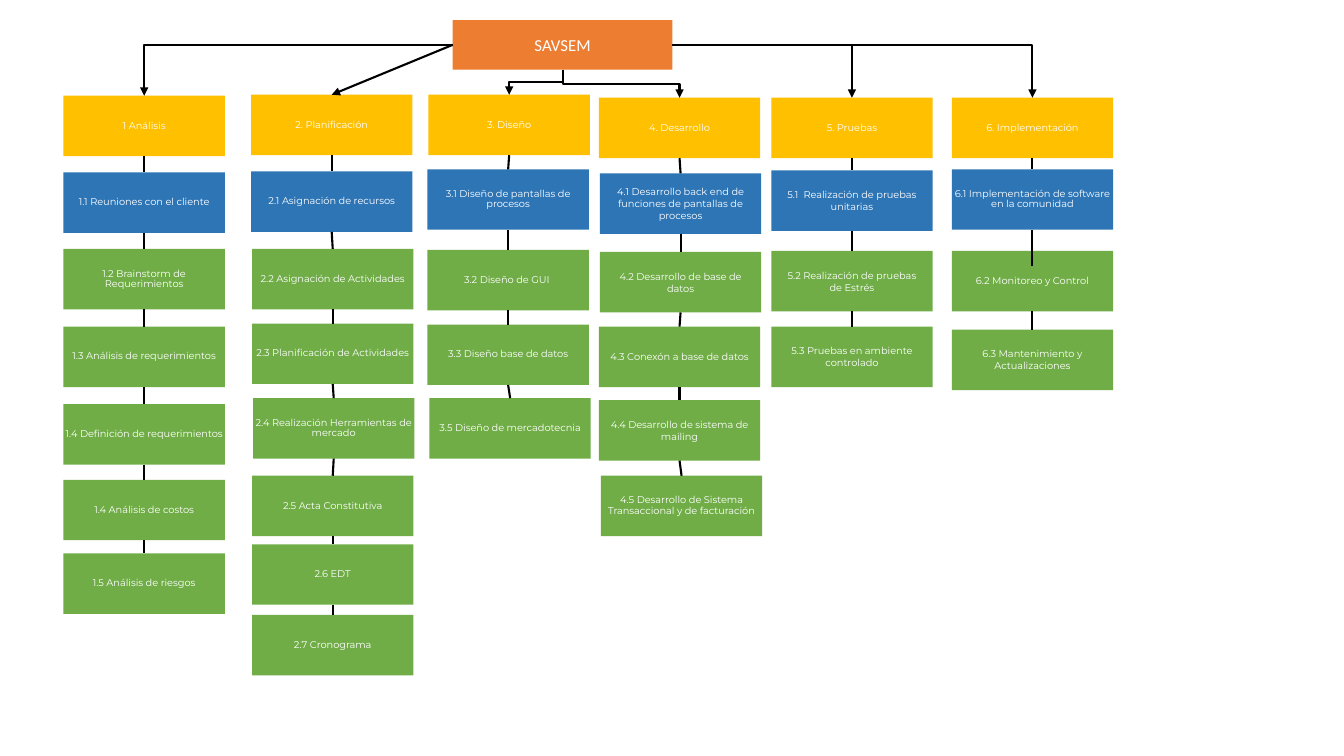
from pptx import Presentation
from pptx.dml.color import RGBColor
from pptx.enum import dml, shapes, text
from pptx.oxml import ns, xmlchemy as xml
from pptx.util import Inches, Pt

WIDTH, HEIGHT = 1.6, 0.6
ORANGE, YELLOW, BLUE, GREEN = "ED7D31", "FFC000", "2E75B6", "70AD47"
WHITE, BLACK = "FFFFFF", "000000"
TOP, LEFT, BOTTOM, RIGHT = range(4)  # connection sites of a rectangle

# Each phase lists its boxes from top to bottom: left, top, label.
PHASES = [
    [(0.63, 0.95, "1 Análisis"),
     (0.63, 1.71, "1.1 Reuniones con el cliente"),
     (0.63, 2.47, "1.2 Brainstorm de Requerimientos"),
     (0.63, 3.24, "1.3 Análisis de requerimientos"),
     (0.63, 4.01, "1.4 Definición de requerimientos"),
     (0.63, 4.76, "1.4 Análisis de costos"),
     (0.63, 5.49, "1.5 Análisis de riesgos")],
    [(2.49, 0.94, "2. Planificación"),
     (2.49, 1.7, "2.1 Asignación de recursos"),
     (2.5, 2.47, "2.2 Asignación de Actividades"),
     (2.5, 3.21, "2.3 Planificación de Actividades"),
     (2.51, 3.95, "2.4 Realización Herramientas de mercado"),
     (2.5, 4.72, "2.5 Acta Constitutiva"),
     (2.5, 5.4, "2.6 EDT"),
     (2.5, 6.1, "2.7 Cronograma")],
    [(4.25, 0.94, "3. Diseño"),
     (4.24, 1.68, "3.1 Diseño de pantallas de procesos"),
     (4.24, 2.48, "3.2 Diseño de GUI "),
     (4.24, 3.22, "3.3 Diseño base de datos"),
     (4.26, 3.95, "3.5 Diseño de mercadotecnia")],
    [(5.94, 0.97, "4. Desarrollo"),
     (5.95, 1.72, "4.1 Desarrollo back end de funciones de pantallas de procesos"),
     (5.95, 2.5, "4.2 Desarrollo de base de datos"),
     (5.94, 3.24, "4.3 Conexón a base de datos"),
     (5.94, 3.97, "4.4 Desarrollo de sistema de mailing"),
     (5.96, 4.72, "4.5 Desarrollo de Sistema Transaccional y de facturación")],
    [(7.65, 0.97, "5. Pruebas"),
     (7.65, 1.69, "5.1  Realización de pruebas unitarias"),
     (7.65, 2.49, "5.2 Realización de pruebas de Estrés"),
     (7.65, 3.24, "5.3 Pruebas en ambiente controlado")],
    [(9.44, 0.97, "6. Implementación"),
     (9.44, 1.68, "6.1 Implementación de software en la comunidad"),
     (9.44, 2.49, "6.2 Monitoreo y Control"),
     (9.44, 3.27, "6.3 Mantenimiento y Actualizaciones")],
]
# Tasks with the usual inner margins; all other boxes have none.
LOOSE = {"4.1", "4.2", "4.3", "4.4", "5.1", "5.2", "5.3", "6.3"}
# Extra length of the line that runs into a task.
DIPS = {"6.2": 0.15}


def color(code):
    """Turn a hex string into a colour."""
    return RGBColor.from_string(code)


def paint(shape, fill):
    """Fill a shape and take off its outline."""
    shape.fill.solid()
    shape.fill.fore_color.rgb = color(fill)
    shape.line.fill.background()


def write(shape, label, font, size, tight=False):
    """Put centred white text in a shape."""
    frame = shape.text_frame
    frame.word_wrap = True
    frame.auto_size = text.MSO_AUTO_SIZE.NONE
    frame.vertical_anchor = text.MSO_ANCHOR.MIDDLE
    par = frame.paragraphs[0]
    par.alignment = text.PP_ALIGN.CENTER
    if tight:
        frame.margin_left = frame.margin_right = 0
        frame.margin_top = frame.margin_bottom = 0
        par.line_spacing = 0.9
    run = par.add_run()
    run.text = label
    run.font.name, run.font.size = font, Pt(size)
    run.font.color.rgb = color(WHITE)


def add_root(slide):
    """Make the title the top box of the chart."""
    root = slide.shapes.title
    root.left, root.top = Inches(4.49), Inches(0.2)
    root.width, root.height = Inches(2.18), Inches(0.49)
    paint(root, ORANGE)
    write(root, "SAVSEM", "Calibri", 12)
    return root


def add_box(slide, left, top, label, fill):
    """Add one phase or task box."""
    box = slide.shapes.add_shape(
        shapes.MSO_SHAPE.RECTANGLE,
        Inches(left), Inches(top), Inches(WIDTH), Inches(HEIGHT))
    box.shadow.inherit = False
    paint(box, fill)
    write(box, label, "Montserrat", 7, label[:3] not in LOOSE)
    return box


def site(shape, side):
    """Find the middle of one side of a shape."""
    x, y = shape.left + shape.width // 2, shape.top + shape.height // 2
    return {TOP: (x, shape.top), LEFT: (shape.left, y),
            BOTTOM: (x, shape.top + shape.height),
            RIGHT: (shape.left + shape.width, y)}[side]


def add_link(slide, start, end, kind=shapes.MSO_CONNECTOR.STRAIGHT):
    """Add a black line between two points."""
    link = slide.shapes.add_connector(kind, *start, *end)
    link.line.width = Pt(1.5)
    link.line.fill.solid()
    link.line.color.rgb = color(BLACK)
    link.line.dash_style = dml.MSO_LINE.SOLID
    xml.OxmlElement  # element factory used for the parts below
    props = link._element.spPr
    props.append(xml.OxmlElement("a:effectLst"))
    return link


def add_head(link):
    """End a line with a triangle."""
    tail = xml.OxmlElement("a:tailEnd")
    tail.set("type", "triangle")
    link.line._get_or_add_ln().append(tail)


def add_corner(slide, start, end):
    """Add a line that goes sideways, then down."""
    link = add_link(slide, start, end, shapes.MSO_CONNECTOR.ELBOW)
    geom = link._element.spPr.find(ns.qn("a:prstGeom"))
    geom.set("prst", "bentConnector2")
    return link


def add_step(slide, start, end):
    """Add a line that goes down, sideways and down again."""
    (x1, y1), (x2, y2) = start, end
    wide, high = abs(x2 - x1), y2 - y1
    left = (x1 + x2 - high) // 2
    top = (y1 + y2 - wide) // 2
    link = add_link(slide, (left, top), (left + high, top + wide),
                    shapes.MSO_CONNECTOR.ELBOW)
    frame = link._element.spPr.find(ns.qn("a:xfrm"))
    frame.set("rot", str((90 if x2 < x1 else 270) * 60000))
    if x2 > x1:
        frame.set("flipH", "1")
    return link


def add_phase(slide, rows):
    """Add a column of boxes with its lines and return its head."""
    fills = [YELLOW, BLUE] + [GREEN] * (len(rows) - 2)
    boxes = [add_box(slide, *row, fill) for row, fill in zip(rows, fills)]
    for upper, lower, row in zip(boxes, boxes[1:], rows[1:]):
        x, y = site(lower, TOP)
        dip = Inches(DIPS.get(row[2][:3], 0))
        add_link(slide, site(upper, BOTTOM), (x, y + dip))
    return boxes[0]


def main():
    """Build the work breakdown chart."""
    deck = Presentation()
    deck.slide_width, deck.slide_height = Inches(13.33), Inches(7.5)
    slide = deck.slides.add_slide(deck.slide_layouts[5])
    root = add_root(slide)
    heads = [add_phase(slide, rows) for rows in PHASES]
    routes = [(add_corner, LEFT), (add_link, LEFT), (add_step, BOTTOM),
              (add_step, BOTTOM), (add_corner, RIGHT), (add_corner, RIGHT)]
    for head, (route, side) in zip(heads, routes):
        add_head(route(slide, site(root, side), site(head, TOP)))
    deck.save("out.pptx")


main()
